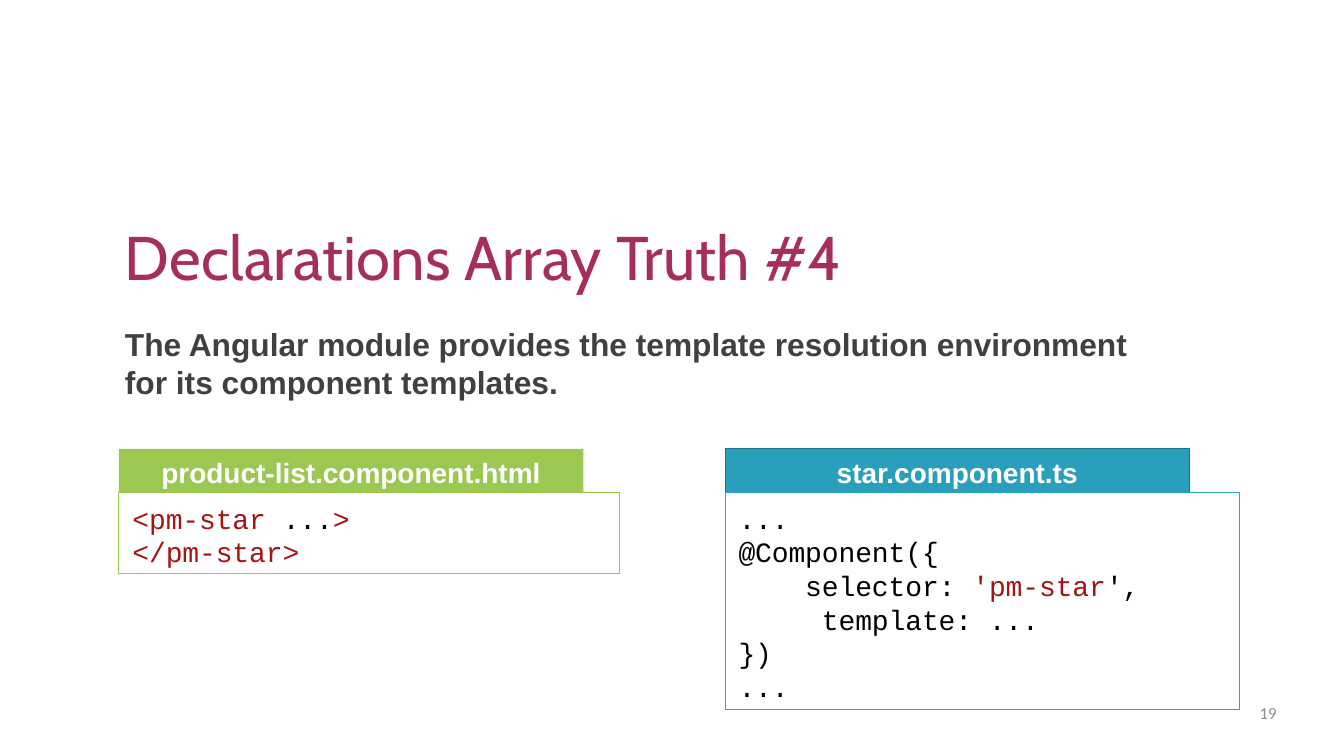
import pptx
import pptx.dml.color
import pptx.enum.shapes
import pptx.enum.text
import pptx.util

Inches = pptx.util.Inches
Pt = pptx.util.Pt
RGBColor = pptx.dml.color.RGBColor
Align = pptx.enum.text.PP_ALIGN
Anchor = pptx.enum.text.MSO_ANCHOR

PLUM = RGBColor(0xA6, 0x2E, 0x5C)
DARK_GRAY = RGBColor(0x40, 0x40, 0x40)
PAGE_GRAY = RGBColor(0x8C, 0x8C, 0x8C)
GREEN = RGBColor(0x9B, 0xC8, 0x50)
TEAL = RGBColor(0x2A, 0x9F, 0xBC)
DARK_TEAL = RGBColor(0x1C, 0x74, 0x89)
CODE_RED = RGBColor(0xA3, 0x15, 0x15)
BLACK = RGBColor(0, 0, 0)
WHITE = RGBColor(0xFF, 0xFF, 0xFF)

TAB_TOP, TAB_WIDTH, TAB_HEIGHT = 6.68, 6.91, 0.65

TEMPLATE_CODE = [
    [("<pm-star ", CODE_RED), ("...", BLACK), (">", CODE_RED)],
    [("</pm-star>", CODE_RED)],
]
COMPONENT_CODE = [
    [("...", BLACK)],
    [("@Component({", BLACK)],
    [("    selector: ", BLACK), ("'pm-star", CODE_RED), ("',", BLACK)],
    [("     template: ...", BLACK)],
    [("})", BLACK)],
    [("...", BLACK)],
]


def write(shape, lines, *, size, font, color=BLACK, bold=False, align=Align.LEFT,
          anchor=Anchor.TOP, inset_left=0, inset_top=0, line_spacing=None, tracking=0):
    """Fill a shape with text; lines is a string or a list of lines of (text, colour) pairs."""
    if isinstance(lines, str):
        lines = [[(lines, color)]]
    frame = shape.text_frame
    frame.word_wrap = True
    frame.auto_size = pptx.enum.text.MSO_AUTO_SIZE.NONE
    frame.vertical_anchor = anchor
    frame.margin_left, frame.margin_top = Inches(inset_left), Inches(inset_top)
    frame.margin_right = frame.margin_bottom = 0
    for index, line in enumerate(lines):
        paragraph = frame.paragraphs[0] if index == 0 else frame.add_paragraph()
        paragraph.alignment = align
        if line_spacing:
            paragraph.line_spacing = Pt(line_spacing)
        for text, run_color in line:
            run = paragraph.add_run()
            run.text = text
            run.font.size = Pt(size)
            run.font.name = font
            run.font.bold = bold
            run.font.color.rgb = run_color
            if tracking:
                run.font._element.set("spc", str(round(tracking * 100)))


def add_text(slide, left, top, width, height, text, **text_format):
    box = slide.shapes.add_textbox(Inches(left), Inches(top), Inches(width), Inches(height))
    write(box, text, **text_format)


def add_box(slide, left, top, width, height, fill=None, line=None):
    box = slide.shapes.add_shape(pptx.enum.shapes.MSO_SHAPE.RECTANGLE, Inches(left),
                                 Inches(top), Inches(width), Inches(height))
    box.shadow.inherit = False
    if fill is None:
        box.fill.background()
    else:
        box.fill.solid()
        box.fill.fore_color.rgb = fill
    if line is None:
        box.line.fill.background()
    else:
        box.line.color.rgb = line
        box.line.width = Pt(1)
    return box


def add_code_panel(slide, left, width, height, file_name, code, color, tab_line=None):
    """Add a file-name tab with a framed code listing below it."""
    tab = add_box(slide, left, TAB_TOP, TAB_WIDTH, TAB_HEIGHT, fill=color, line=tab_line)
    write(tab, file_name, size=30, font="Arial", color=WHITE, bold=True,
          align=Align.CENTER, anchor=Anchor.MIDDLE, inset_top=0.04)
    listing = add_box(slide, left, TAB_TOP + TAB_HEIGHT, width, height, line=color)
    write(listing, code, size=30, font="Courier New", inset_left=0.2, inset_top=0.13,
          line_spacing=36, tracking=-0.1)


def add_title(slide, text):
    title = slide.shapes.title
    title.left, title.top = Inches(1.85), Inches(3.24)
    title.width, title.height = Inches(11.24), Inches(1.13)
    write(title, text, size=66, font="Cabin", color=PLUM, inset_left=0.01,
          inset_top=0.02, tracking=0.24)


def main():
    presentation = pptx.Presentation()
    presentation.slide_width, presentation.slide_height = Inches(20), Inches(11.25)
    slide = presentation.slides.add_slide(presentation.slide_layouts[5])

    add_title(slide, "Declarations Array Truth #4")
    add_text(slide, 1.85, 4.77, 15.4, 1.15,
             "The Angular module provides the template resolution environment "
             "for its component templates.",
             size=34, font="Arial", color=DARK_GRAY, bold=True,
             inset_left=0.01, inset_top=0.08, line_spacing=40)
    add_code_panel(slide, 1.77, 7.45, 1.21, "product-list.component.html",
                   TEMPLATE_CODE, GREEN)
    add_code_panel(slide, 10.79, 7.66, 3.23, "star.component.ts",
                   COMPONENT_CODE, TEAL, tab_line=DARK_TEAL)
    add_text(slide, 14.4, 10.46, 4.6, 0.56, "19", size=18, font="Calibri",
             color=PAGE_GRAY, align=Align.RIGHT)

    presentation.save("out.pptx")


if __name__ == "__main__":
    main()
